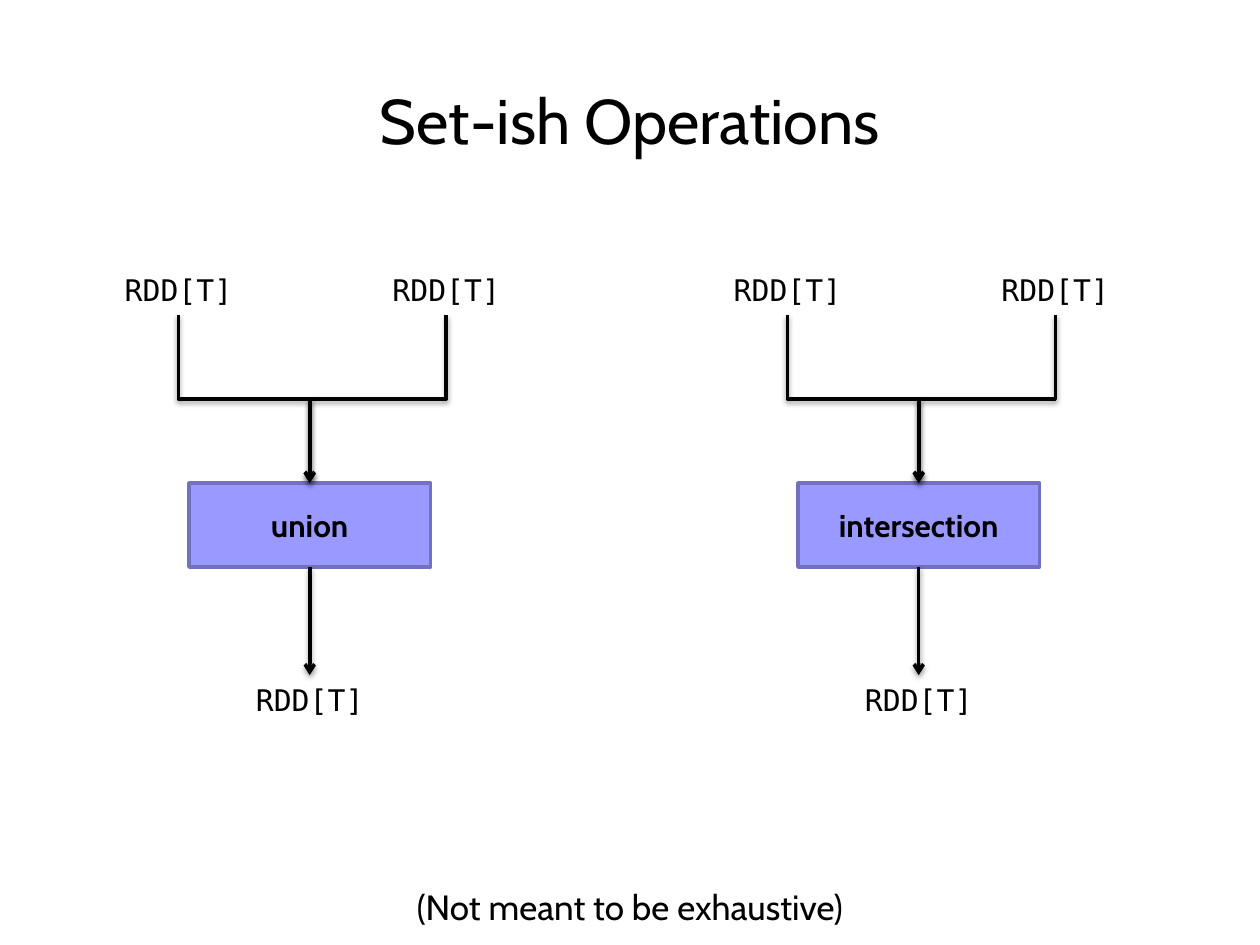
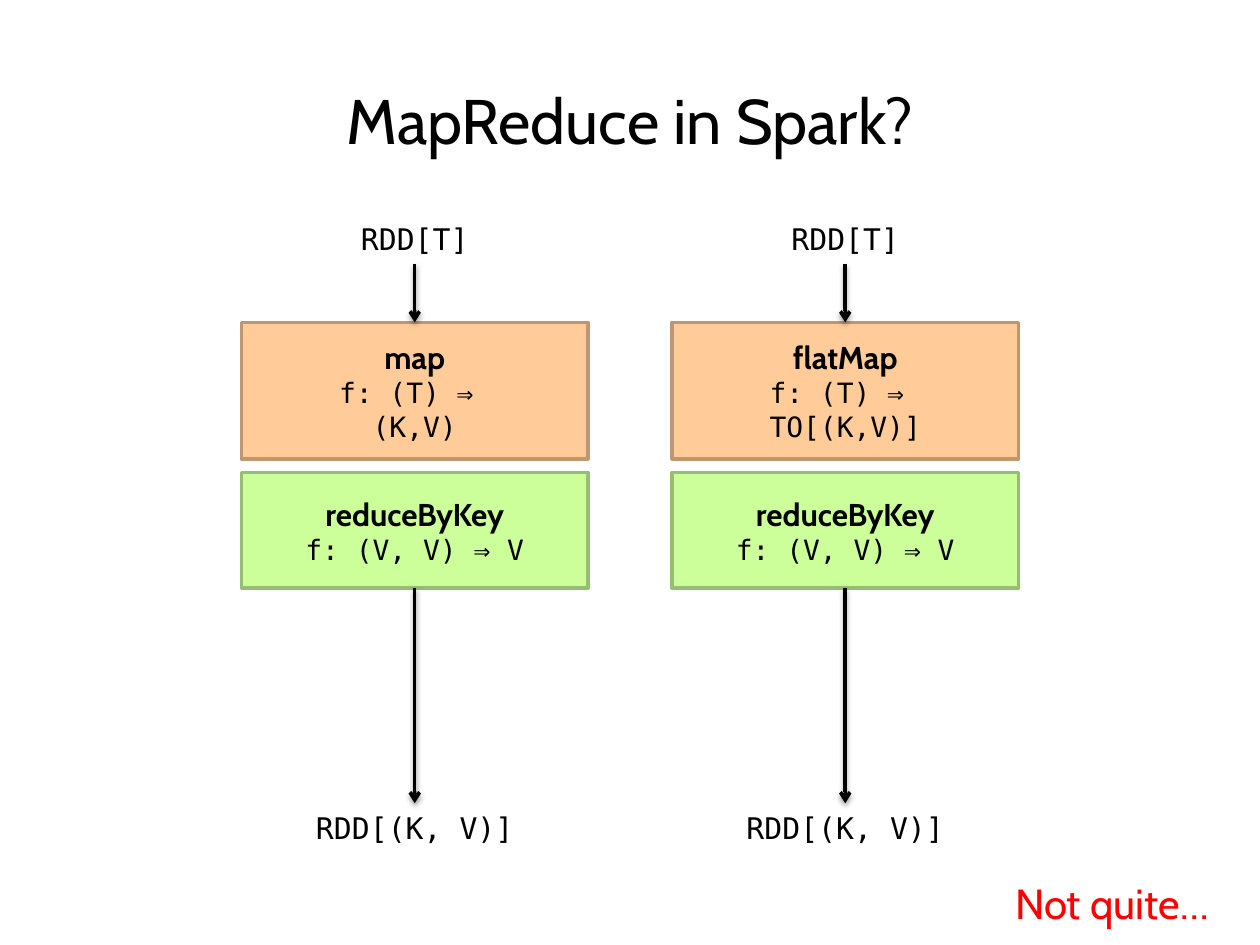
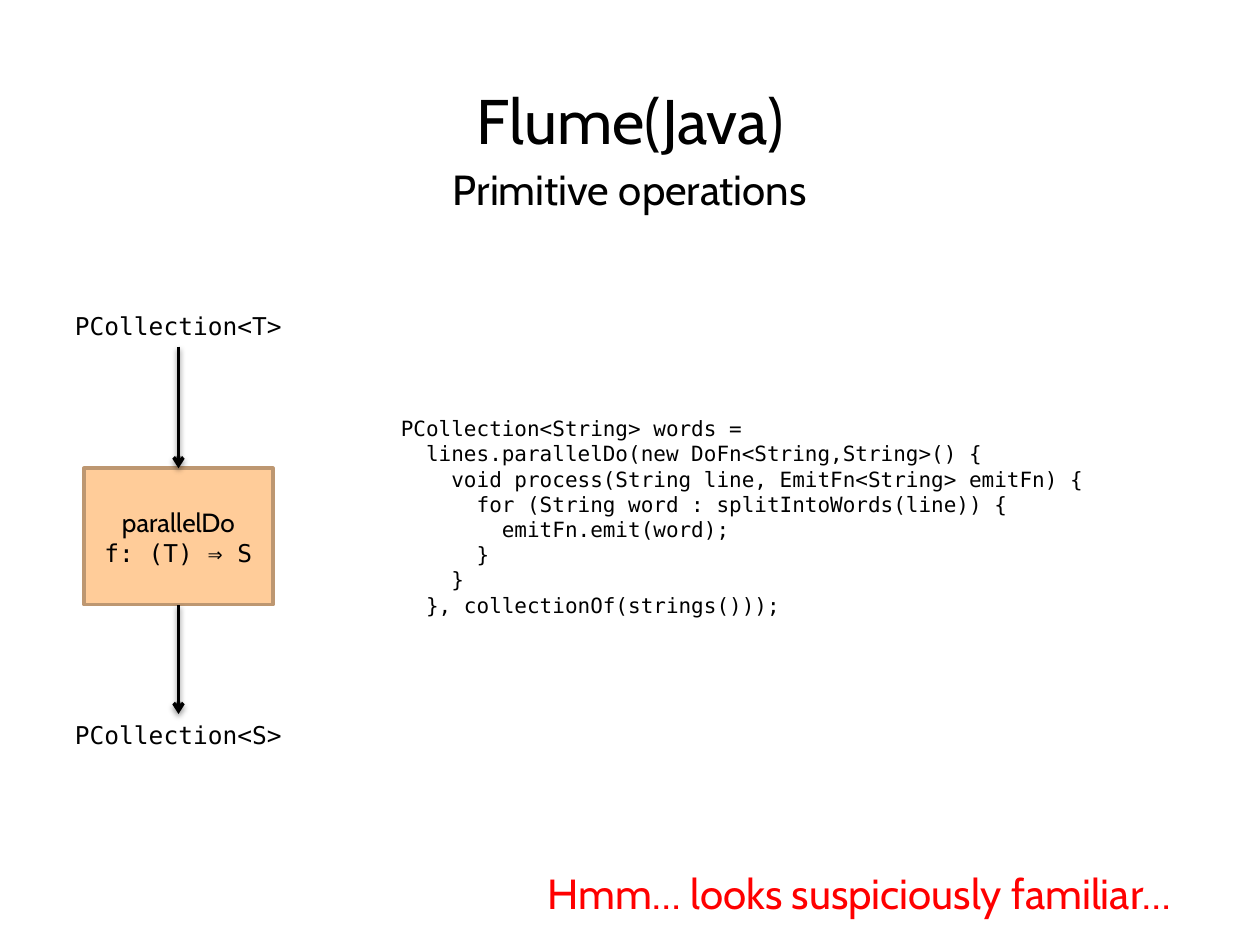
from collections import namedtuple
from dataclasses import dataclass

from lxml import etree
from pptx import Presentation
from pptx.dml.color import RGBColor
from pptx.enum.shapes import MSO_CONNECTOR, MSO_SHAPE
from pptx.enum.text import MSO_ANCHOR, PP_ALIGN
from pptx.oxml import parse_xml
from pptx.oxml.ns import nsdecls, qn
from pptx.util import Inches, Pt

CENTER, LEFT = PP_ALIGN.CENTER, PP_ALIGN.LEFT
MIDDLE = MSO_ANCHOR.MIDDLE
RECT = MSO_SHAPE.RECTANGLE
STRAIGHT, ELBOW = MSO_CONNECTOR.STRAIGHT, MSO_CONNECTOR.ELBOW
TOP, BOTTOM = 0, 2

COLS, ROWS = 120, 90
UNIT = Inches(10) / COLS

Style = namedtuple("Style", "font size color bold", defaults=("000000", False))
Paint = namedtuple("Paint", "fill line")
Stage = namedtuple("Stage", "top width height paint paras")
Label = namedtuple("Label", "top width height text style")


@dataclass(frozen=True)
class Theme:
    sans = "Cabin"
    mono = "DejaVu Sans Mono"
    ink = "000000"
    stroke = 2
    title = Style(sans, 36)
    sub = Style(sans, 24)
    note = Style(sans, 20)
    alert = Style(sans, 24, "FF0000")
    name = Style(sans, 18, bold=True)
    plain = Style(sans, 15)
    label = Style(mono, 17)
    func = Style(mono, 16)
    small = Style(mono, 14)
    code = Style(mono, 12)
    blue = Paint("9999FF", "7171BD")
    peach = Paint("FFCC99", "BD9771")
    green = Paint("CCFF99", "97BD71")


@dataclass(frozen=True)
class Box:
    x: float
    y: float
    w: float
    h: float

    def area(self, x, y, w, h):
        return Box(self.x + x, self.y + y, w, h)

    def mid(self, y, w, h):
        return self.area((self.w - w) / 2, y, w, h)

    def emu(self):
        return [round(v * UNIT) for v in (self.x, self.y, self.w, self.h)]


PAGE = Box(0, 0, COLS, ROWS)


def dress(font, style):
    font.name = style.font
    font.size = Pt(style.size)
    font.bold = style.bold
    font.color.rgb = RGBColor.from_string(style.color)


def write(frame, paras, align):
    for i, runs in enumerate(paras):
        para = frame.paragraphs[0] if i == 0 else frame.add_paragraph()
        para.alignment = align
        base = runs[-1][1]
        dress(para.font, base)
        for text, style in runs:
            for j, line in enumerate(text.split("\n")):
                if j:
                    para.add_line_break()
                if line:
                    run = para.add_run()
                    run.text = line
                    if style != base:
                        dress(run.font, style)


def put_text(shapes, box, text, style, align=CENTER, wrap=True):
    item = shapes.add_textbox(*box.emu())
    item.text_frame.word_wrap = wrap
    write(item.text_frame, [[(line, style)] for line in text.split("\n")], align)
    return item


def put_rect(shapes, box, paint, paras):
    item = shapes.add_shape(RECT, *box.emu())
    item.shadow.inherit = False
    item.fill.solid()
    item.fill.fore_color.rgb = RGBColor.from_string(paint.fill)
    item.line.color.rgb = RGBColor.from_string(paint.line)
    item.line.width = Pt(Theme.stroke)
    item.text_frame.word_wrap = True
    item.text_frame.vertical_anchor = MIDDLE
    write(item.text_frame, paras, CENTER)
    return item


def finish(link):
    link.line.color.rgb = RGBColor.from_string(Theme.ink)
    link.line.width = Pt(Theme.stroke)
    props = link._element.spPr
    etree.SubElement(props.find(qn("a:ln")), qn("a:tailEnd"), type="arrow")
    props.append(parse_xml(
        f'<a:effectLst {nsdecls("a")}>'
        f'<a:outerShdw blurRad="{Pt(3.1)}" dist="{Pt(1.6)}" dir="5400000" rotWithShape="0">'
        f'<a:srgbClr val="{Theme.ink}"><a:alpha val="38000"/></a:srgbClr>'
        '</a:outerShdw></a:effectLst>'))


def join(shapes, above, below):
    link = shapes.add_connector(STRAIGHT, 0, 0, 0, 0)
    link.begin_connect(above, BOTTOM)
    link.end_connect(below, TOP)
    finish(link)


def bend(shapes, above, below):
    x1, y1 = above.left + above.width // 2, above.top + above.height
    x2, y2 = below.left + below.width // 2, below.top
    run, drop = abs(x2 - x1), y2 - y1
    left, top = (x1 + x2 - drop) // 2, (y1 + y2 - run) // 2
    link = shapes.add_connector(ELBOW, left, top, left + drop, top + run)
    frame = link._element.spPr.find(qn("a:xfrm"))
    if x2 > x1:
        frame.set("rot", "16200000")
        frame.set("flipH", "1")
    else:
        frame.set("rot", "5400000")
    finish(link)


def merge(slide, box, name, wide):
    shapes = slide.shapes.add_group_shape().shapes
    rect = put_rect(shapes, box.mid(20.7, 23, 8), Theme.blue, [[(name, Theme.name)]])
    for x, w in ((0, 22), (23, 27)):
        bend(shapes, put_text(shapes, box.area(x, 0, w, 4.7), "RDD[T]", Theme.label), rect)
    result = put_text(shapes, box.mid(39, wide, 4.7), "RDD[T]", Theme.label)
    join(shapes, rect, result)


def chain(slide, box, source, stages, target):
    shapes = slide.shapes.add_group_shape().shapes
    start, end = (put_text(shapes, box.mid(*label[:3]), label.text, label.style)
                  for label in (source, target))
    rects = [put_rect(shapes, box.mid(s.top, s.width, s.height), s.paint, s.paras)
             for s in stages]
    join(shapes, start, rects[0])
    join(shapes, rects[-1], end)


def begin(deck, title):
    slide = deck.slides.add_slide(deck.slide_layouts[6])
    put_text(slide.shapes, PAGE.area(0, 7.2, COLS, 9), title, Theme.title)
    return slide


def sets(deck):
    slide = begin(deck, "Set-ish Operations")
    for i, (name, wide) in enumerate((("union", 49), ("intersection", 61))):
        merge(slide, PAGE.area(6 + 58 * i, 25.3, 47, 43.7), name, wide)
    put_text(slide.shapes, PAGE.area(0, 83.7, COLS, 5.3),
             "(Not meant to be exhaustive)", Theme.note)


def spark(deck):
    slide = begin(deck, "MapReduce in Spark?")
    source = Label(0, 14, 4.7, "RDD[T]", Theme.label)
    target = Label(56.1, 23, 4.7, "RDD[(K, V)]", Theme.label)
    reduce = Stage(24.6, 33, 11, Theme.green,
                   [[("reduceByKey", Theme.name)], [("f: (V, V) ⇒ V", Theme.func)]])
    for i, (name, result) in enumerate((("map", "(K,V)"), ("flatMap", "TO[(K,V)]"))):
        first = Stage(10.3, 33, 13, Theme.peach,
                      [[(name + "\n", Theme.name), ("f: (T) ⇒ \n" + result, Theme.func)]])
        chain(slide, PAGE.area(23 + 41 * i, 20.4, 33, 60.8), source, [first, reduce], target)
    put_text(slide.shapes, PAGE.area(95.5, 83, 22.5, 6), "Not quite…",
             Theme.alert, LEFT, False)


CODE = """PCollection<String> words =
  lines.parallelDo(new DoFn<String,String>() {
    void process(String line, EmitFn<String> emitFn) {
      for (String word : splitIntoWords(line)) {
        emitFn.emit(word);
      }
    }
  }, collectionOf(strings()));"""


def flume(deck):
    slide = begin(deck, "Flume(Java)")
    put_text(slide.shapes, PAGE.area(0, 15, COLS, 6), "Primitive operations", Theme.sub)
    stage = Stage(15.6, 18, 13, Theme.peach,
                  [[("parallelDo", Theme.plain)], [("f: (T) ⇒ S", Theme.small)]])
    chain(slide, PAGE.area(4, 29, 26, 43),
          Label(0, 26, 4, "PCollection<T>", Theme.small), [stage],
          Label(39, 26, 4, "PCollection<S>", Theme.small))
    put_text(slide.shapes, PAGE.area(37, 39, 78, 20.6), CODE, Theme.code, LEFT)
    put_text(slide.shapes, PAGE.area(51, 82, 62.8, 6),
             "Hmm… looks suspiciously familiar…", Theme.alert, LEFT, False)


def main():
    deck = Presentation()
    deck.slide_width = round(COLS * UNIT)
    deck.slide_height = round(ROWS * UNIT)
    for build in (sets, spark, flume):
        build(deck)
    deck.save("out.pptx")


if __name__ == "__main__":
    main()
